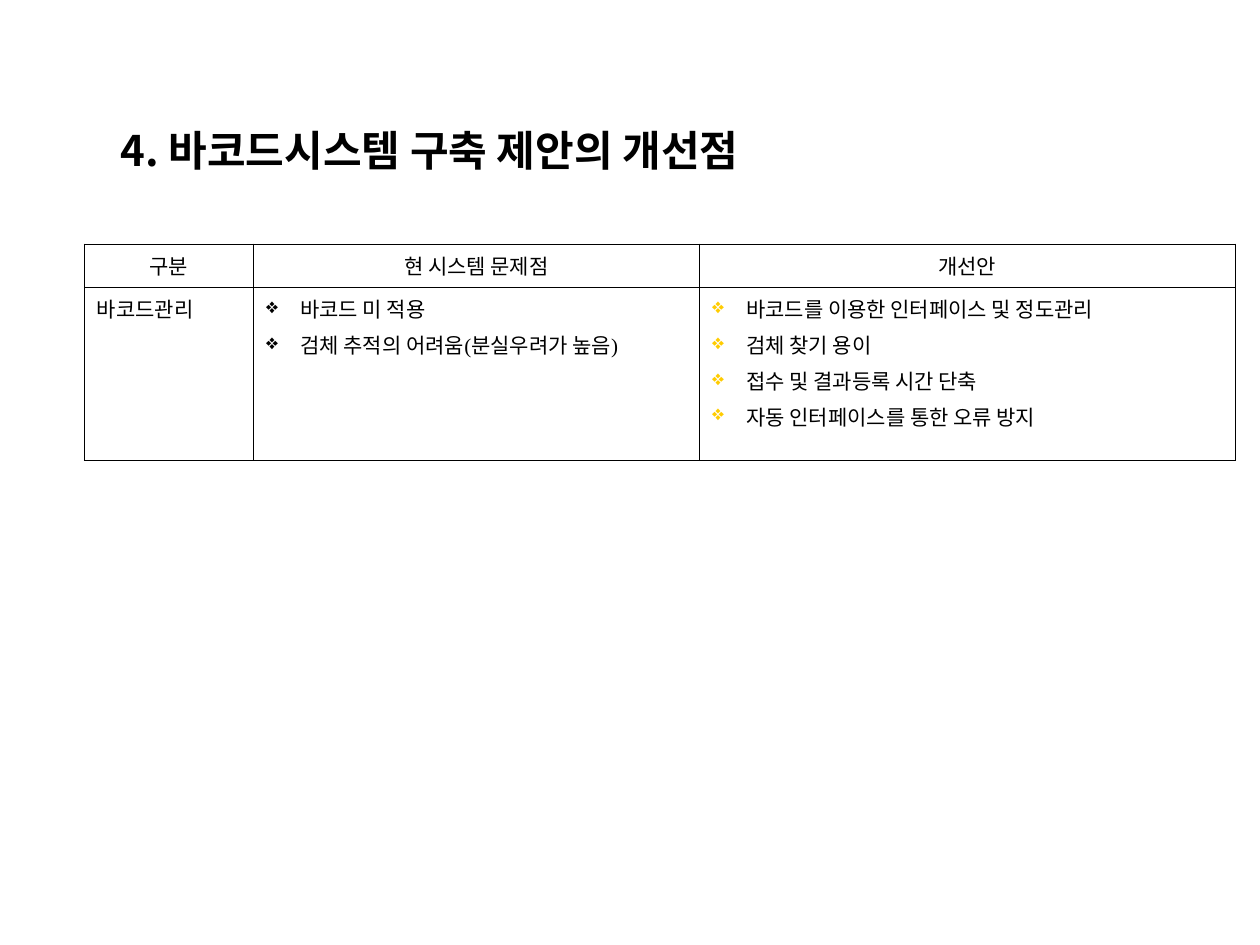
from dataclasses import dataclass

from lxml import etree
from pptx import Presentation
from pptx import util as u
from pptx.dml.color import RGBColor
from pptx.enum import text
from pptx.oxml.ns import qn

BLACK, GOLD = "000000", "FFCC00"
LATIN, TITLE_LATIN, KOREAN = "Times New Roman", "Karla", "Noto Sans CJK KR"
COLUMN_WIDTHS = (3.41, 8.99, 10.8)
ROW_HEIGHTS = (0.87, 3.49)
BULLET_INDENT = u.Cm(0.69)


@dataclass
class CellText:
    lines: tuple[str, ...]
    centred: bool = False
    bullet_color: str | None = None


ROWS = (
    tuple(CellText((name,), centred=True)
          for name in ("구분", "현 시스템 문제점", "개선안")),
    (
        CellText(("바코드관리",)),
        CellText(("바코드 미 적용", "검체 추적의 어려움(분실우려가 높음)"),
                 bullet_color=BLACK),
        CellText(("바코드를 이용한 인터페이스 및 정도관리", "검체 찾기 용이",
                  "접수 및 결과등록 시간 단축", "자동 인터페이스를 통한 오류 방지"),
                 bullet_color=GOLD),
    ),
)


def rgb(value: str) -> RGBColor:
    return RGBColor.from_string(value)


def add_span(para, words: str, size: float, latin: str, bold: bool = False) -> None:
    span = para.add_run()
    span.text = words
    span.font.size = u.Pt(size)
    span.font.bold = bold
    span.font.name = latin
    span.font.color.rgb = rgb(BLACK)
    east_asian = etree.Element(qn("a:ea"), typeface=KOREAN)
    span.font._element.find(qn("a:latin")).addnext(east_asian)


def add_bullet(para, color: str) -> None:
    properties = para._p.get_or_add_pPr()
    properties.set("marL", str(BULLET_INDENT))
    properties.set("indent", str(-BULLET_INDENT))
    bullet_color = etree.SubElement(properties, qn("a:buClr"))
    etree.SubElement(bullet_color, qn("a:srgbClr"), val=color)
    etree.SubElement(properties, qn("a:buChar"), char="❖")


def add_borders(cell, color: str, width: float) -> None:
    properties = cell._tc.get_or_add_tcPr()
    for position, side in enumerate(("lnL", "lnR", "lnT", "lnB")):
        line = etree.Element(qn(f"a:{side}"), w=str(u.Pt(width)))
        fill = etree.SubElement(line, qn("a:solidFill"))
        etree.SubElement(fill, qn("a:srgbClr"), val=color)
        properties.insert(position, line)


def fill_cell(cell, content: CellText) -> None:
    cell.fill.background()
    add_borders(cell, BLACK, 0.45)
    for index, words in enumerate(content.lines):
        para = cell.text_frame.add_paragraph() if index else cell.text_frame.paragraphs[0]
        if content.bullet_color:
            add_bullet(para, content.bullet_color)
        if content.centred:
            para.alignment = text.PP_ALIGN.CENTER
        if index:
            para.space_before = u.Pt(3)
        add_span(para, words, 12, LATIN)


def add_comparison_table(page) -> None:
    frame = page.shapes.add_table(
        len(ROW_HEIGHTS), len(COLUMN_WIDTHS), u.Cm(1.7), u.Cm(4.92),
        u.Cm(sum(COLUMN_WIDTHS)), u.Cm(sum(ROW_HEIGHTS)))
    table = frame.table
    table.first_row = table.horz_banding = False
    for column, width in zip(table.columns, COLUMN_WIDTHS):
        column.width = u.Cm(width)
    for row, height, contents in zip(table.rows, ROW_HEIGHTS, ROWS):
        row.height = u.Cm(height)
        for cell, content in zip(row.cells, contents):
            fill_cell(cell, content)


def format_title(title) -> None:
    title.left, title.top = u.Cm(2.18), u.Cm(2.39)
    title.width, title.height = u.Cm(14.12), u.Cm(1.27)
    frame = title.text_frame
    frame.word_wrap = False
    frame.auto_size = text.MSO_AUTO_SIZE.SHAPE_TO_FIT_TEXT
    frame.vertical_anchor = text.MSO_ANCHOR.TOP
    para = frame.paragraphs[0]
    para.alignment = text.PP_ALIGN.LEFT
    add_span(para, "4. ", 24, KOREAN, bold=True)
    add_span(para, "바코드시스템 구축 제안의 개선점", 24, TITLE_LATIN, bold=True)


def main() -> None:
    deck = Presentation()
    deck.slide_width, deck.slide_height = u.Cm(25.4), u.Cm(19.05)
    page = deck.slides.add_slide(deck.slide_layouts.get_by_name("Title Only"))
    format_title(page.shapes.title)
    add_comparison_table(page)
    deck.save("out.pptx")


if __name__ == "__main__":
    main()
